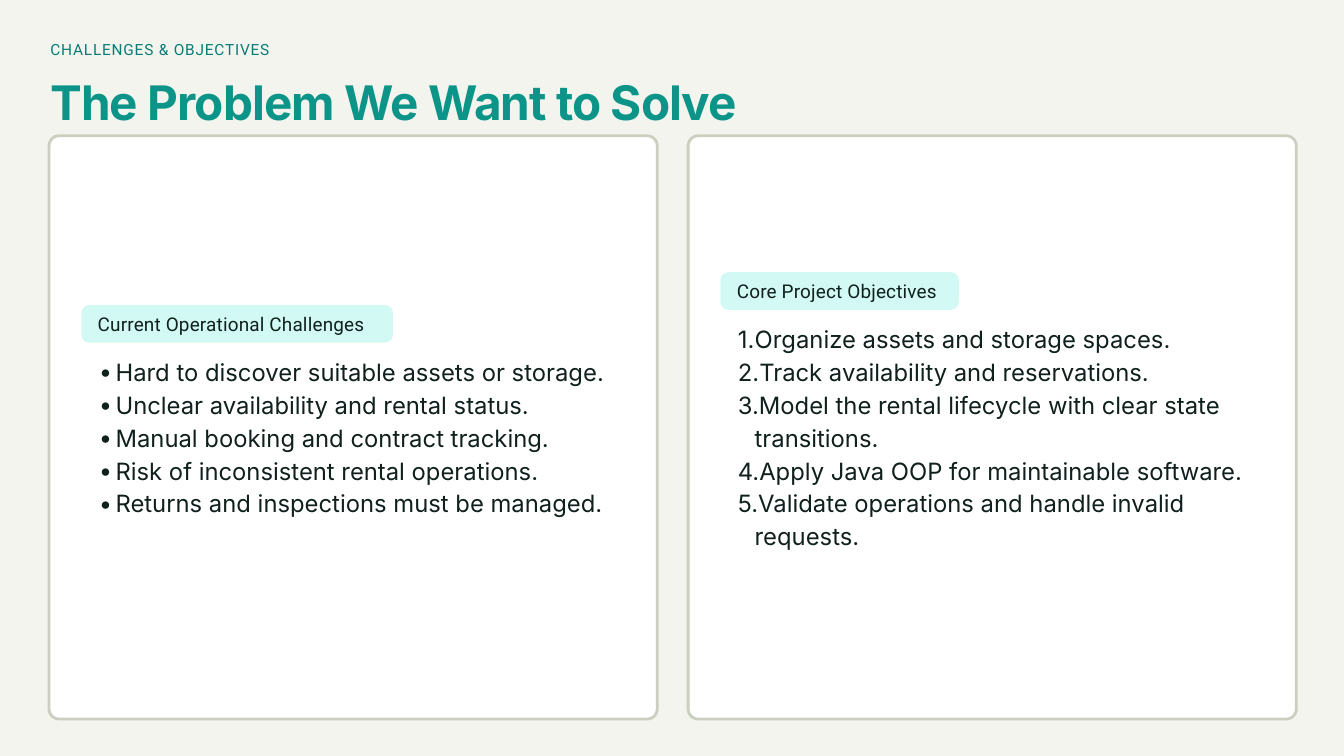
from lxml.etree import SubElement
from pptx import Presentation
from pptx.dml.color import RGBColor
from pptx.enum.shapes import MSO_SHAPE
from pptx.enum.text import MSO_ANCHOR, MSO_AUTO_SIZE, PP_ALIGN
from pptx.oxml.ns import qn
from pptx.util import Inches, Pt

COLORS = {"bg": "F2F4ED", "eyebrow": "0A7C78", "title": "0D9488", "card": "FFFFFF",
          "border": "CBCFC0", "pill": "D2F9F4", "ink": "10201D"}

# card left, label, label top, label width, bullet tag, bullet attributes, items
CARDS = [
    (0.73, "Current Operational Challenges", 4.54, 4.64, "a:buChar", {"char": "•"},
     ["Hard to discover suitable assets or storage.",
      "Unclear availability and rental status.",
      "Manual booking and contract tracking.",
      "Risk of inconsistent rental operations.",
      "Returns and inspections must be managed."]),
    (10.24, "Core Project Objectives", 4.05, 3.55, "a:buAutoNum", {"type": "arabicPeriod"},
     ["Organize assets and storage spaces.",
      "Track availability and reservations.",
      "Model the rental lifecycle with clear state transitions.",
      "Apply Java OOP for maintainable software.",
      "Validate operations and handle invalid requests."]),
]


def write(sp, lines, *, size, font, color, leading, bold=False, spacing=0,
          bullet=None, left=0, anchor=MSO_ANCHOR.TOP, wrap=True):
    """Fill a shape with one formatted paragraph per line; bullet is (tag, attributes)."""
    tf = sp.text_frame
    tf.auto_size = MSO_AUTO_SIZE.NONE
    tf.word_wrap = wrap
    tf.vertical_anchor = anchor
    tf.margin_left = Inches(left)
    tf.margin_top = tf.margin_right = tf.margin_bottom = 0
    for i, line in enumerate(lines):
        p = tf.add_paragraph() if i else tf.paragraphs[0]
        p.alignment = PP_ALIGN.LEFT
        p.line_spacing = Pt(leading)
        p.space_before = Pt(0)
        if bullet:
            p.level = 1
            pPr = p._p.get_or_add_pPr()
            pPr.set("marL", str(Inches(0.51)))
            pPr.set("indent", str(Inches(-0.25)))
            SubElement(pPr, qn("a:buFont"), typeface=font)
            SubElement(pPr, qn(bullet[0]), bullet[1])
        r = p.add_run()
        r.text = line
        r.font.size, r.font.name, r.font.bold = Pt(size), font, bold
        r.font.color.rgb = RGBColor.from_string(COLORS[color])
        if spacing:
            r._r.get_or_add_rPr().set("spc", str(round(spacing * 100)))


def rounded(left, top, width, height, radius, fill, line=None):
    sp = s.shapes.add_shape(MSO_SHAPE.ROUNDED_RECTANGLE, Inches(left), Inches(top),
                            Inches(width), Inches(height))
    sp.adjustments[0] = radius / height
    sp.shadow.inherit = False
    sp.fill.solid()
    sp.fill.fore_color.rgb = RGBColor.from_string(COLORS[fill])
    if line:
        sp.line.color.rgb = RGBColor.from_string(COLORS[line])
        sp.line.width = Pt(3)
    else:
        sp.line.fill.background()
    return sp


prs = Presentation()
prs.slide_width, prs.slide_height = Inches(20), Inches(11.25)
s = prs.slides.add_slide(prs.slide_layouts[3])
s.background.fill.solid()
s.background.fill.fore_color.rgb = RGBColor.from_string(COLORS["bg"])
title, *bodies = s.placeholders

eyebrow = s.shapes.add_textbox(Inches(0.75), Inches(0.59), Inches(18.5), Inches(0.29))
write(eyebrow, ["CHALLENGES & OBJECTIVES"], size=16.5, font="Roboto", color="eyebrow",
      leading=20.4, spacing=0.9)

title.left, title.top, title.width, title.height = map(Inches, (0.75, 1.18, 18.51, 0.67))
write(title, ["The Problem We Want to Solve"], size=51, font="Inter", color="title",
      leading=53.9, bold=True, spacing=-1)

for body, (x, label, y, pill_width, tag, attributes, items) in zip(bodies, CARDS):
    rounded(x, 2.02, 9.05, 8.68, 0.15, "card", "border")
    pill = rounded(x + 0.48, y, pill_width, 0.56, 0.12, "pill")
    write(pill, [label], size=20.3, font="Roboto", color="ink", leading=25, spacing=0.2,
          left=0.21, anchor=MSO_ANCHOR.MIDDLE, wrap=False)
    body.left, body.top = Inches(x + 0.48), Inches(y + 0.72)
    body.width, body.height = Inches(8.09), Inches(12.43 - 2 * (y + 0.72) + 1)
    write(body, items, size=25.5, font="Inter", color="ink", leading=35.2,
          bullet=(tag, attributes))
    s.shapes.element.append(body.element)  # bring the list in front of its card

prs.save("out.pptx")
